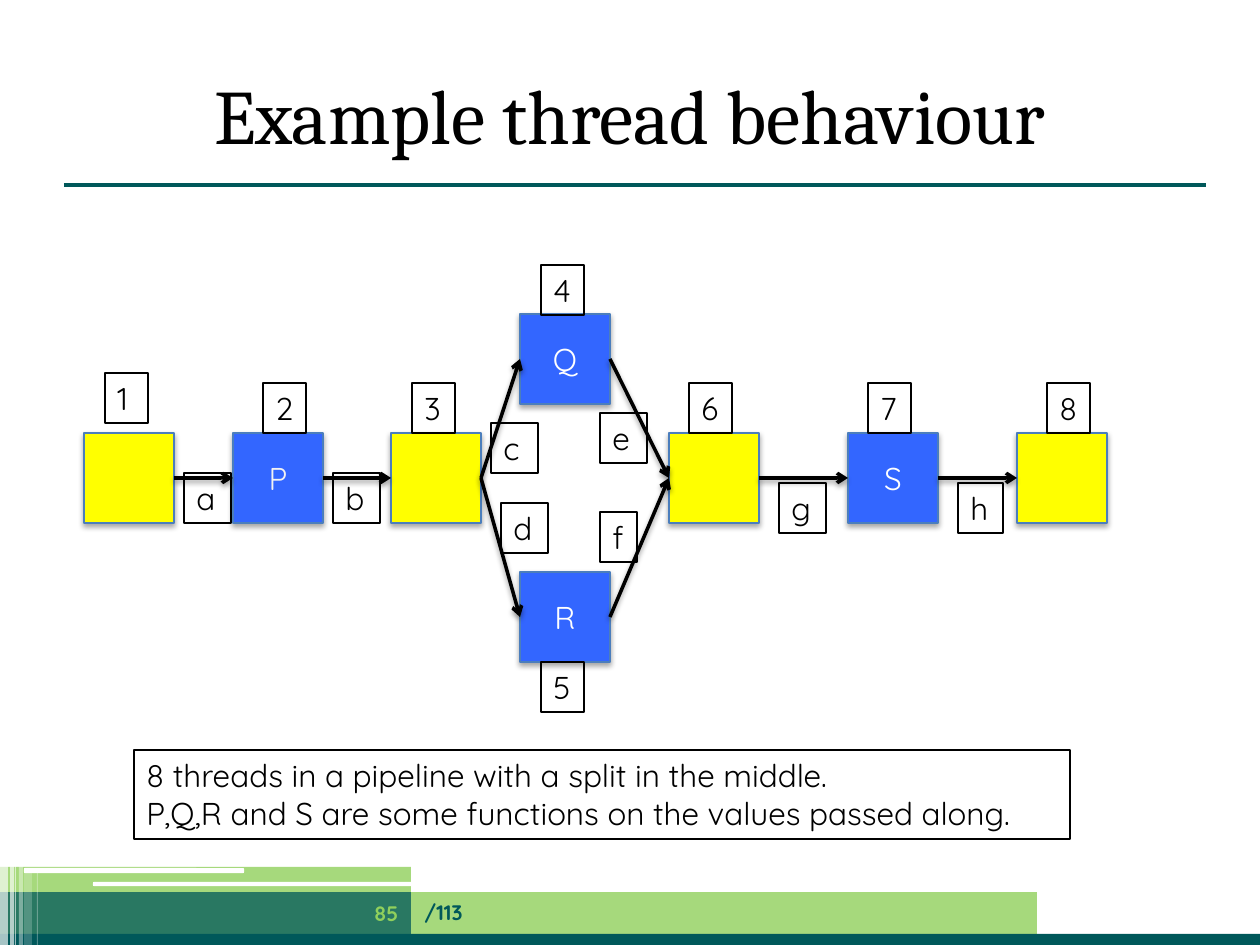
"""Build a slide that shows eight threads joined in a split pipeline."""
from lxml import etree
from pptx import Presentation
from pptx.dml.color import RGBColor
from pptx.enum.shapes import MSO_CONNECTOR, MSO_SHAPE
from pptx.enum.text import MSO_ANCHOR, MSO_AUTO_SIZE, PP_ALIGN
from pptx.oxml.ns import qn
from pptx.util import Pt

RECT, ROUND = MSO_SHAPE.RECTANGLE, MSO_SHAPE.ROUNDED_RECTANGLE
STRAIGHT = MSO_CONNECTOR.STRAIGHT
MIDDLE, TOP = MSO_ANCHOR.MIDDLE, MSO_ANCHOR.TOP
LEFT, CENTER, RIGHT = PP_ALIGN.LEFT, PP_ALIGN.CENTER, PP_ALIGN.RIGHT
FIT = MSO_AUTO_SIZE.SHAPE_TO_FIT_TEXT

BLACK = RGBColor(0x00, 0x00, 0x00)
WHITE = RGBColor(0xFF, 0xFF, 0xFF)
PALE = RGBColor(0xF2, 0xF2, 0xF2)
TEAL = RGBColor(0x00, 0x58, 0x5A)
GREEN = RGBColor(0x90, 0xD0, 0x5C)
YELLOW = RGBColor(0xFF, 0xFF, 0x00)
BLUE = RGBColor(0x33, 0x66, 0xFF)
EDGE = RGBColor(0x4B, 0x7E, 0xBC)

SANS, SERIF = "Quicksand", "Cambria"
SCALE = 914400 / 126
SIDE = 90
ROW = 433

BANDS = [
    (RECT, 0, 892, 1037, 42, GREEN, 80),
    (RECT, 0, 934, 1260, 14, TEAL, 100),
    (RECT, 0, 892, 411, 42, TEAL, 75),
    (RECT, 0, 867, 411, 25, GREEN, 80),
    (ROUND, 93, 882, 422, 4, WHITE, 100),
    (ROUND, 24, 868, 220, 5, WHITE, 100),
    (RECT, 0, 864, 8, 83, WHITE, 65),
    (RECT, 10, 864, 4, 83, WHITE, 65),
    (RECT, 15, 864, 1, 83, WHITE, 60),
    (RECT, 19, 864, 4, 83, WHITE, 40),
    (RECT, 24, 869, 8, 78, WHITE, 20),
    (RECT, 37, 869, 1, 78, WHITE, 30),
]
NODES = {
    1: (84, ROW, "", BLACK),
    3: (391, ROW, "", BLACK),
    2: (233, ROW, "P", PALE),
    6: (669, ROW, "", BLACK),
    5: (520, 572, "R", WHITE),
    4: (520, 314, "Q", WHITE),
    8: (1017, ROW, "", BLACK),
    7: (848, ROW, "S", WHITE),
}
LINKS = [(1, 2), (2, 3), (3, 4), (3, 5), (4, 6), (5, 6), (6, 7), (7, 8)]
LABELS = [
    ("4", 541, 265, 43), ("b", 333, 473, 47), ("c", 491, 423, 47),
    ("d", 501, 503, 47), ("g", 779, 483, 47), ("f", 600, 512, 37),
    ("e", 600, 413, 47), ("h", 958, 483, 45), ("1", 105, 373, 43),
    ("a", 184, 473, 47), ("2", 263, 383, 43), ("3", 412, 383, 43),
    ("5", 541, 662, 43), ("6", 689, 383, 43), ("7", 868, 383, 43),
    ("8", 1047, 383, 43),
]
NOTE = [
    "8 threads in a pipeline with a split in the middle.",
    "P,Q,R and S are some functions on the values passed along.",
]


def px(*sizes):
    """Turn px lengths into EMU."""
    return [round(size * SCALE) for size in sizes]


def sub(parent, tag, **attrs):
    """Add an XML child with attributes."""
    node = etree.SubElement(parent, qn(tag))
    for key, value in attrs.items():
        node.set(key, str(value))
    return node


def shade(effects, dist, alpha):
    """Put a soft downward shadow in an effect list."""
    outer = sub(effects, "a:outerShdw", blurRad=40000, dist=dist,
                dir=5400000, rotWithShape=0)
    color = sub(outer, "a:srgbClr", val=BLACK)
    sub(color, "a:alpha", val=alpha * 1000)


def write(frame, lines, size, color, font=SANS, align=LEFT, bold=False):
    """Fill a text frame with paragraphs of one style."""
    frame.text = "\n".join(lines)
    for para in frame.paragraphs:
        para.alignment = align
        para.font.size = Pt(size)
        para.font.name = font
        para.font.bold = bold
        para.font.color.rgb = color


def add_band(slide, kind, x, y, w, h, color, alpha):
    """Draw one plain footer shape."""
    band = slide.shapes.add_shape(kind, *px(x, y, w, h))
    band.shadow.inherit = False
    band.fill.solid()
    band.fill.fore_color.rgb = color
    band.line.fill.background()
    if alpha < 100:
        fill = band._element.spPr.find(".//" + qn("a:srgbClr"))
        sub(fill, "a:alpha", val=alpha * 1000)


def add_node(slide, x, y, text, color):
    """Draw a thread square, blue if it has a function."""
    node = slide.shapes.add_shape(RECT, *px(x, y, SIDE, SIDE))
    node.fill.solid()
    node.fill.fore_color.rgb = BLUE if text else YELLOW
    node.line.color.rgb = EDGE
    node.line.width = Pt(0.75)
    node.shadow.inherit = False
    shade(node._element.spPr.find(qn("a:effectLst")), 23000, 35)
    if text:
        node.text_frame.vertical_anchor = MIDDLE
        write(node.text_frame, [text], 18, color, align=CENTER)
    return node


def add_line(slide, ends, color, width):
    """Draw a straight line and return it with its effect list."""
    line = slide.shapes.add_connector(STRAIGHT, *px(*ends))
    line.line.color.rgb = color
    line.line.width = Pt(width)
    return line, sub(line._element.spPr, "a:effectLst")


def add_link(slide, start, end):
    """Join two nodes with an arrow."""
    link, effects = add_line(slide, (0, 0, 0, 0), BLACK, 2)
    link.begin_connect(start, 3)
    link.end_connect(end, 1)
    sub(link.line._get_or_add_ln(), "a:tailEnd", type="arrow")
    shade(effects, 20000, 38)


def add_text(slide, lines, box, size, color, anchor=MIDDLE, **style):
    """Add a wrapping text box."""
    text = slide.shapes.add_textbox(*px(*box))
    text.text_frame.word_wrap = True
    text.text_frame.vertical_anchor = anchor
    write(text.text_frame, lines, size, color, **style)
    return text


def add_label(slide, lines, box):
    """Add an outlined text box that fits its text."""
    label = add_text(slide, lines, box, 18, BLACK, TOP)
    label.text_frame.word_wrap = False
    label.text_frame.auto_size = FIT
    label.line.color.rgb = BLACK
    label.line.width = Pt(0.75)


def main():
    """Build and save the slide."""
    deck = Presentation()
    deck.slide_width, deck.slide_height = px(1260, 945)
    slide = deck.slides.add_slide(deck.slide_layouts[6])
    for band in BANDS:
        add_band(slide, *band)
    add_line(slide, (64, 185, 1206, 185), TEAL, 2.25)
    add_text(slide, ["Example thread behaviour"], (63, 55, 1134, 118),
             44, BLACK, font=SERIF, align=CENTER)
    add_text(slide, ["/113"], (412, 887, 625, 50), 12, TEAL, bold=True)
    add_text(slide, ["85"], (323, 888, 88, 50), 12, GREEN,
             align=RIGHT, bold=True)
    nodes = {key: add_node(slide, *node) for key, node in NODES.items()}
    for start, end in LINKS:
        add_link(slide, nodes[start], nodes[end])
    for text, x, y, w in LABELS:
        add_label(slide, [text], (x, y, w, 50))
    add_label(slide, NOTE, (134, 750, 936, 89))
    deck.save("out.pptx")


if __name__ == "__main__":
    main()
